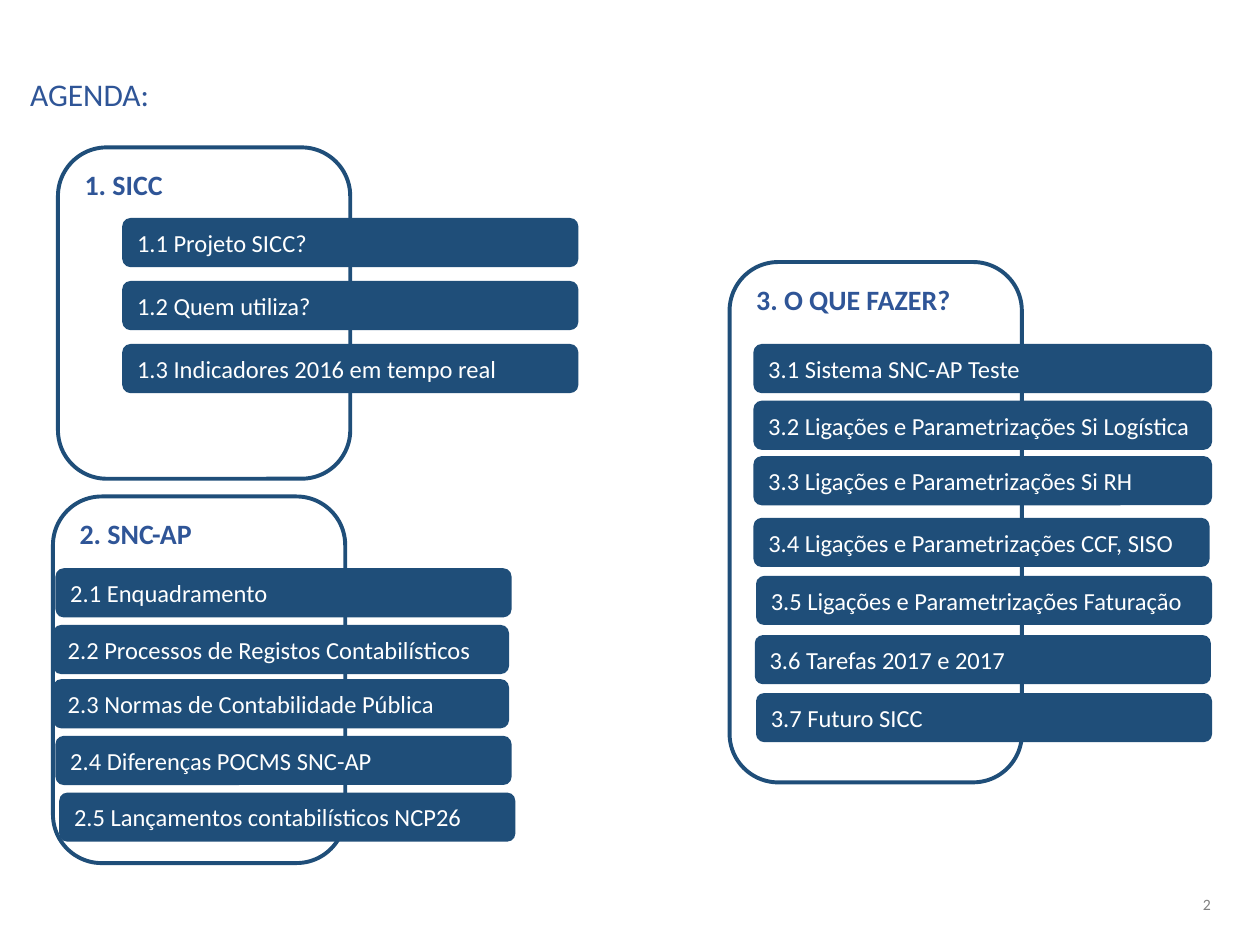
from pptx import Presentation
from pptx.dml.color import RGBColor
from pptx.enum.shapes import MSO_SHAPE
from pptx.enum.text import MSO_ANCHOR, PP_ALIGN
from pptx.util import Inches, Pt

ROUNDED = MSO_SHAPE.ROUNDED_RECTANGLE
TOP = MSO_ANCHOR.TOP
MIDDLE = MSO_ANCHOR.MIDDLE
LEFT = PP_ALIGN.LEFT
RIGHT = PP_ALIGN.RIGHT

FONT = "Calibri"
NAVY = "1F4E79"
BLUE = "2F5597"
WHITE = "FFFFFF"
GRAY = "808080"

PANEL_WIDTH = 2.32
BAR_WIDTH = 3.62
WIDE_BAR_WIDTH = 3.64
BAR_HEIGHT = 0.39

PANELS = [
    ("1. SICC", (0.46, 1.17, PANEL_WIDTH, 2.63), [
        ("1.1 Projeto SICC?", 0.51, 0.56, BAR_WIDTH),
        ("1.2 Quem utiliza?", 0.51, 1.06, BAR_WIDTH),
        ("1.3 Indicadores 2016 em tempo real", 0.51, 1.56, BAR_WIDTH),
    ]),
    ("3. O QUE FAZER?", (5.79, 2.08, PANEL_WIDTH, 4.13), [
        ("3.1 Sistema SNC-AP Teste", 0.19, 0.65, WIDE_BAR_WIDTH),
        ("3.2 Ligações e Parametrizações Si Logística", 0.19, 1.1, WIDE_BAR_WIDTH),
        ("3.3 Ligações e Parametrizações Si RH", 0.19, 1.54, WIDE_BAR_WIDTH),
        ("3.4 Ligações e Parametrizações CCF, SISO", 0.19, 2.03, BAR_WIDTH),
        ("3.5 Ligações e Parametrizações Faturação", 0.21, 2.49, BAR_WIDTH),
        ("3.6 Tarefas 2017 e 2017", 0.2, 2.96, BAR_WIDTH),
        ("3.7 Futuro SICC", 0.21, 3.42, BAR_WIDTH),
    ]),
    ("2. SNC-AP", (0.42, 3.94, PANEL_WIDTH, 2.91), [
        ("2.1 Enquadramento", 0.02, 0.57, BAR_WIDTH),
        ("2.2 Processos de Registos Contabilísticos", 0, 1.02, BAR_WIDTH),
        ("2.3 Normas de Contabilidade Pública", 0, 1.45, BAR_WIDTH),
        ("2.4 Diferenças POCMS SNC-AP", 0.02, 1.9, BAR_WIDTH),
        ("2.5 Lançamentos contabilísticos NCP26", 0.05, 2.35, BAR_WIDTH),
    ]),
]


def color(value):
    return RGBColor.from_string(value)


def set_text(shape, text, size, text_color, bold=False, anchor=MIDDLE, align=LEFT):
    text_frame = shape.text_frame
    text_frame.text = text
    text_frame.word_wrap = True
    text_frame.vertical_anchor = anchor
    paragraph = text_frame.paragraphs[0]
    paragraph.alignment = align
    font = paragraph.runs[0].font
    font.name = FONT
    font.size = Pt(size)
    font.bold = bold
    font.color.rgb = color(text_color)


def add_rounded_box(slide, box, fill, line=None):
    shape = slide.shapes.add_shape(ROUNDED, *map(Inches, box))
    shape.shadow.inherit = False
    shape.fill.solid()
    shape.fill.fore_color.rgb = color(fill)
    if line:
        shape.line.color.rgb = color(line)
        shape.line.width = Pt(2.25)
    else:
        shape.line.fill.background()
    return shape


def add_panel(slide, box, heading, bars):
    panel = add_rounded_box(slide, box, WHITE, NAVY)
    set_text(panel, heading, 16, BLUE, bold=True, anchor=TOP)
    left, top = box[:2]
    for text, offset_x, offset_y, width in bars:
        bar_box = (left + offset_x, top + offset_y, width, BAR_HEIGHT)
        set_text(add_rounded_box(slide, bar_box, NAVY), text, 14, WHITE)


def add_title(slide, box):
    title = slide.shapes.add_textbox(*map(Inches, box))
    set_text(title, "AGENDA:", 18, BLUE)


def add_page_number(slide, box):
    number = slide.shapes.add_textbox(*map(Inches, box))
    text_frame = number.text_frame
    text_frame.margin_left = text_frame.margin_right = Inches(0.04)
    text_frame.margin_top = text_frame.margin_bottom = Inches(0.04)
    set_text(number, "2", 9, GRAY, align=RIGHT)


def main():
    presentation = Presentation()
    presentation.slide_width = Inches(10)
    presentation.slide_height = Inches(7.5)
    slide = presentation.slides.add_slide(presentation.slide_layouts[6])
    add_page_number(slide, (9.14, 6.98, 0.51, 0.39))
    add_title(slide, (0.14, 0.55, 9.29, 0.39))
    for heading, box, bars in PANELS:
        add_panel(slide, box, heading, bars)
    presentation.save("out.pptx")


if __name__ == "__main__":
    main()
